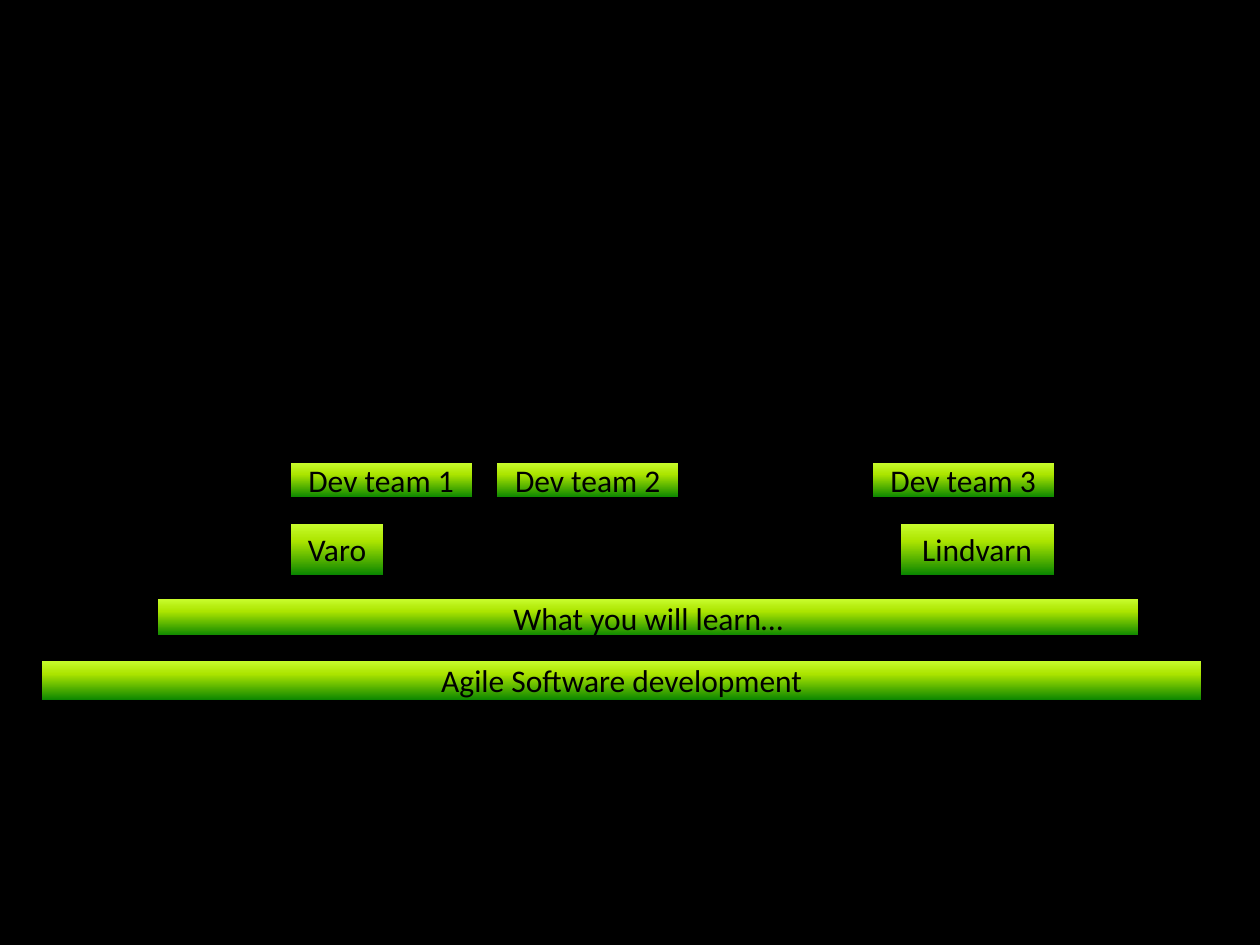
from copy import deepcopy

from pptx import Presentation
from pptx.dml.color import RGBColor
from pptx.enum.shapes import MSO_SHAPE
from pptx.enum.text import MSO_ANCHOR, PP_ALIGN
from pptx.oxml.ns import qn
from pptx.util import Inches, Pt

BLACK = RGBColor(0x00, 0x00, 0x00)
GREEN = RGBColor(0x00, 0x80, 0x00)
LIME = RGBColor(0xAC, 0xE5, 0x00)
YELLOW_GREEN = RGBColor(0xCC, 0xFF, 0x33)
GRADIENT = [(0, GREEN), (0.65, LIME), (1, YELLOW_GREEN)]

TEAM_ROW = (3.66, 0.3)
COMPANY_ROW = (4.14, 0.44)
LEARN_ROW = (4.74, 0.32)
AGILE_ROW = (5.23, 0.34)

TEAM_WIDTH = 1.47
LEFT_EDGE = 2.29
RIGHT_EDGE = 8.38
TEAM_STEP = 1.64


def fill_gradient(fill, shape):
    fill.gradient()
    fill.gradient_angle = 90
    stop_list = shape.element.spPr.find(qn("a:gradFill")).find(qn("a:gsLst"))
    stop_list.append(deepcopy(stop_list[-1]))
    for stop, (position, color) in zip(fill.gradient_stops, GRADIENT):
        stop.position = position
        stop.color.rgb = color


def add_bar(shapes, text, left, width, row):
    top, height = row
    bar = shapes.add_shape(MSO_SHAPE.RECTANGLE, Inches(left), Inches(top),
                           Inches(width), Inches(height))
    bar.shadow.inherit = False
    fill_gradient(bar.fill, bar)
    bar.line.color.rgb = BLACK
    bar.line.width = Pt(2.5)
    frame = bar.text_frame
    frame.word_wrap = True
    frame.vertical_anchor = MSO_ANCHOR.MIDDLE
    para = frame.paragraphs[0]
    para.alignment = PP_ALIGN.CENTER
    span = para.add_run()
    span.text = text
    span.font.name = "Calibri"
    span.font.size = Pt(18)
    span.font.color.rgb = BLACK


def add_company(page, name, left, width, teams):
    group = page.shapes.add_group_shape()
    add_bar(group.shapes, name, left, width, COMPANY_ROW)
    for team, team_left in teams:
        add_bar(group.shapes, team, team_left, TEAM_WIDTH, TEAM_ROW)


def main():
    deck = Presentation()
    deck.slide_width = Inches(10)
    deck.slide_height = Inches(7.5)
    page = deck.slides.add_slide(deck.slide_layouts[6])
    page.background.fill.solid()
    page.background.fill.fore_color.rgb = BLACK

    add_bar(page.shapes, "Agile Software development", 0.32, 9.23, AGILE_ROW)
    add_bar(page.shapes, "What you will learn…", 1.24, 7.81, LEARN_ROW)
    add_company(page, "Varo", LEFT_EDGE, 0.77,
                [("Dev team 1", LEFT_EDGE),
                 ("Dev team 2", LEFT_EDGE + TEAM_STEP)])
    add_company(page, "Lindvarn", RIGHT_EDGE - 1.25, 1.25,
                [("Dev team 3", RIGHT_EDGE - TEAM_WIDTH)])
    deck.save("out.pptx")


if __name__ == "__main__":
    main()
